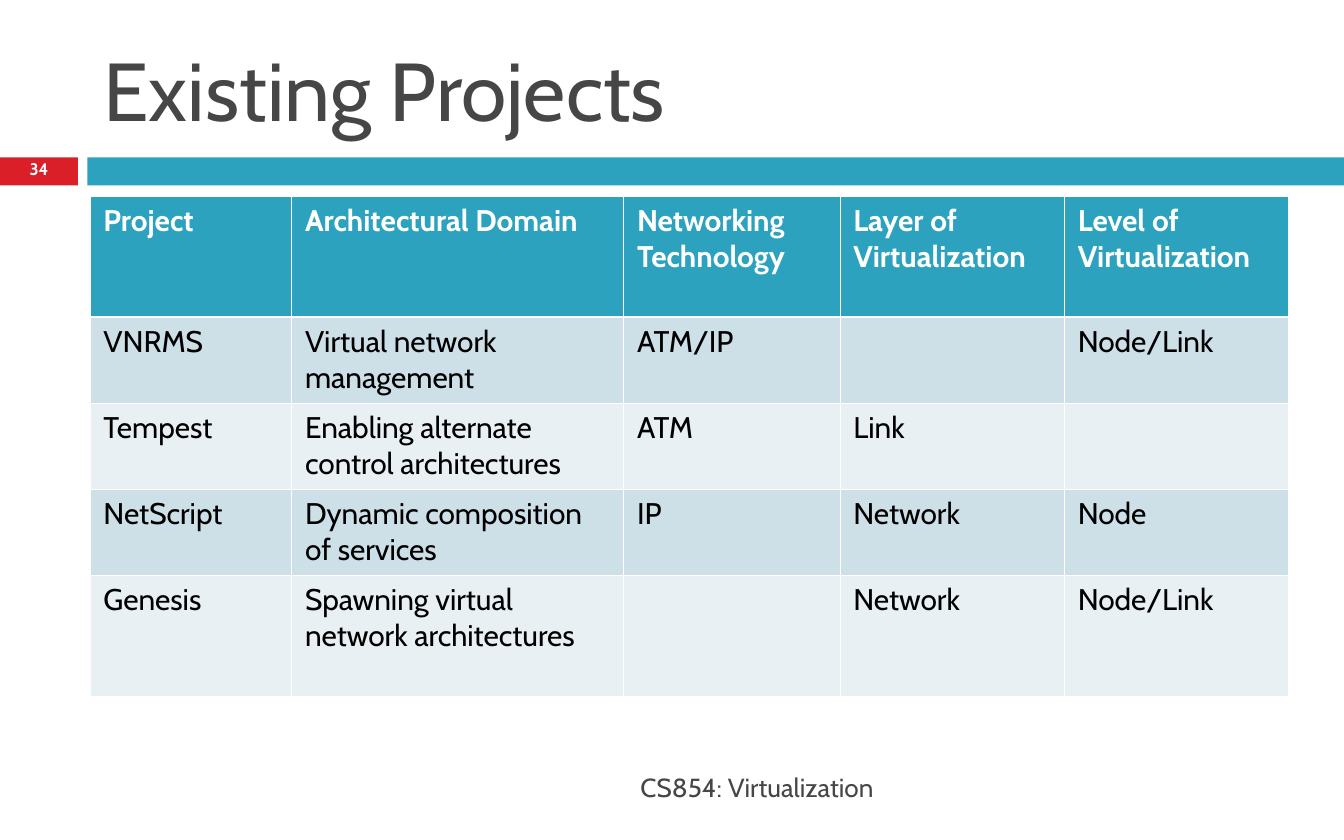
"""Build the Existing Projects slide with its comparison table."""
from lxml import etree
from pptx import Presentation
from pptx.enum.shapes import MSO_SHAPE
from pptx.enum.text import MSO_ANCHOR, PP_ALIGN
from pptx.dml.color import RGBColor
from pptx.oxml.ns import qn
from pptx.util import Inches, Pt

RECTANGLE = MSO_SHAPE.RECTANGLE
MIDDLE = MSO_ANCHOR.MIDDLE
LEFT, CENTER, RIGHT = PP_ALIGN.LEFT, PP_ALIGN.CENTER, PP_ALIGN.RIGHT
TEAL, RED, GREY, WHITE, BLACK = "2DA2BF", "DA1F28", "464646", "FFFFFF", "000000"
BANDS = ["E8F0F4", "CDE0E8"]


def paint(fill, color):
    fill.solid()
    fill.fore_color.rgb = RGBColor.from_string(color)


def write(frame, text, size, color, bold=False, align=LEFT, anchor=None, spacing=None):
    frame.word_wrap = True
    if anchor is not None:
        frame.vertical_anchor = anchor
    frame.text = text
    for paragraph in frame.paragraphs:
        paragraph.alignment = align
        paragraph.line_spacing = spacing
        for run in paragraph.runs:
            run.font.name = "Cabin"
            run.font.size = Pt(size)
            run.font.bold = bold
            paint(run.font.fill, color)


prs = Presentation()
prs.slide_width, prs.slide_height = Inches(10), Inches(6.25)
slide = prs.slides.add_slide(prs.slide_layouts[5])
shapes = slide.shapes

for left, width, color in [(0, 0.58, RED), (0.65, 9.35, TEAL)]:
    bar = shapes.add_shape(RECTANGLE, Inches(left), Inches(1.17), Inches(width), Inches(0.21))
    bar.shadow.inherit = False
    paint(bar.fill, color)
    bar.line.fill.background()

title = shapes.title
title.left, title.top = Inches(0.67), Inches(0.21)
title.width, title.height = Inches(8.92), Inches(0.9)
write(title.text_frame, "Existing Projects", 44, GREY, anchor=MIDDLE)

footer = shapes.add_textbox(Inches(0.67), Inches(5.69), Inches(5.93), Inches(0.33))
write(footer.text_frame, "CS854: Virtualization", 14, GREY, align=RIGHT, anchor=MIDDLE)

page_number = shapes.add_textbox(Inches(0), Inches(1.16), Inches(0.58), Inches(0.22))
write(page_number.text_frame, "34", 9, WHITE, bold=True, align=CENTER, anchor=MIDDLE, spacing=0.8)

projects = [
    ["Project", "Architectural Domain", "Networking Technology",
     "Layer of Virtualization", "Level of Virtualization"],
    ["VNRMS", "Virtual network management", "ATM/IP", "", "Node/Link"],
    ["Tempest", "Enabling alternate control architectures", "ATM", "Link", ""],
    ["NetScript", "Dynamic composition\nof services", "IP", "Network", "Node"],
    ["Genesis", "Spawning virtual network architectures", "", "Network", "Node/Link"],
]
column_widths = [1.5, 2.47, 1.61, 1.67, 1.67]
row_heights = [0.9, 0.64, 0.64, 0.64, 0.9]

table = shapes.add_table(len(projects), len(column_widths), Inches(0.67), Inches(1.46),
                         Inches(sum(column_widths)), Inches(sum(row_heights))).table
for column, width in zip(table.columns, column_widths):
    column.width = Inches(width)
for row, height in zip(table.rows, row_heights):
    row.height = Inches(height)

for r, project in enumerate(projects):
    header = r == 0
    for c, entry in enumerate(project):
        cell = table.cell(r, c)
        write(cell.text_frame, entry, 16, WHITE if header else BLACK, bold=header)
        properties = cell._tc.get_or_add_tcPr()
        for side in ["lnL", "lnR", "lnT", "lnB"]:
            heavy = (r, side) in [(0, "lnB"), (1, "lnT")]
            border = etree.SubElement(properties, qn(f"a:{side}"), w=str(Pt(1.47 if heavy else 0.45)))
            border_fill = etree.SubElement(border, qn("a:solidFill"))
            etree.SubElement(border_fill, qn("a:srgbClr"), val=WHITE)
        paint(cell.fill, TEAL if header else BANDS[r % 2])

prs.save("out.pptx")
